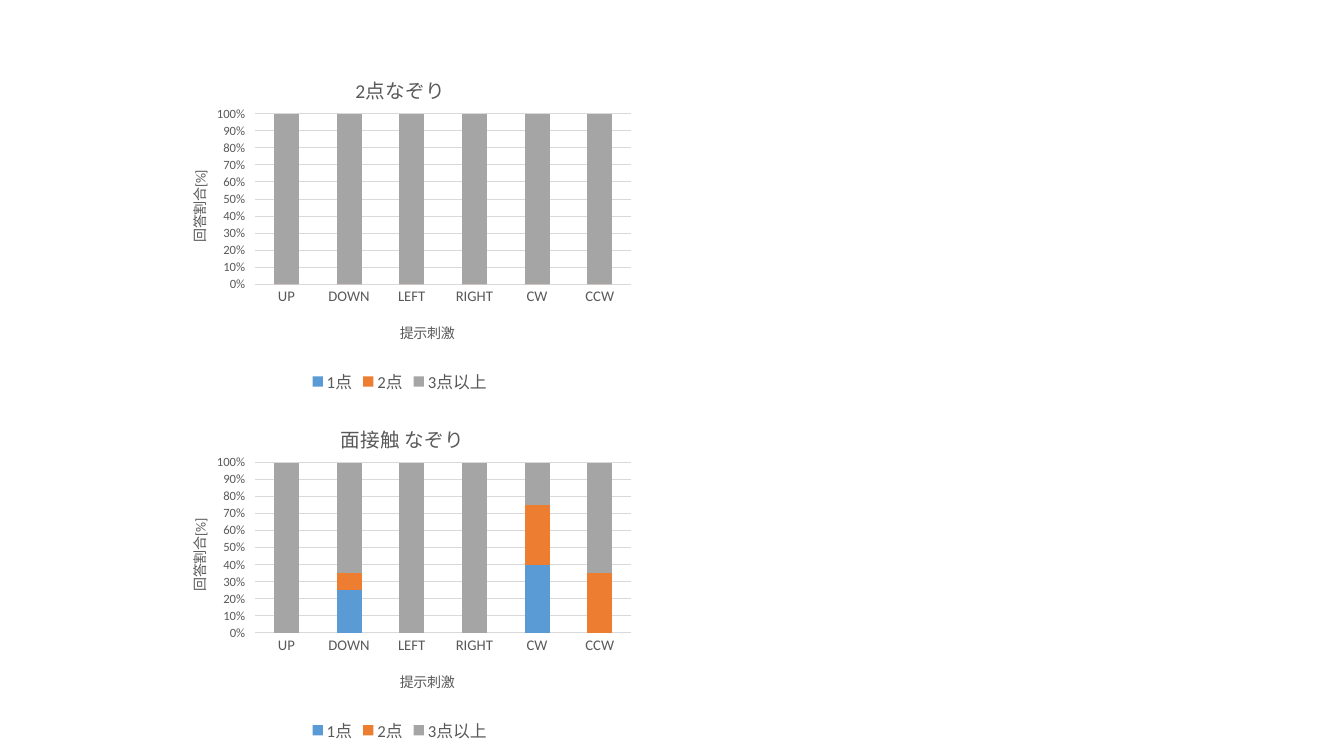
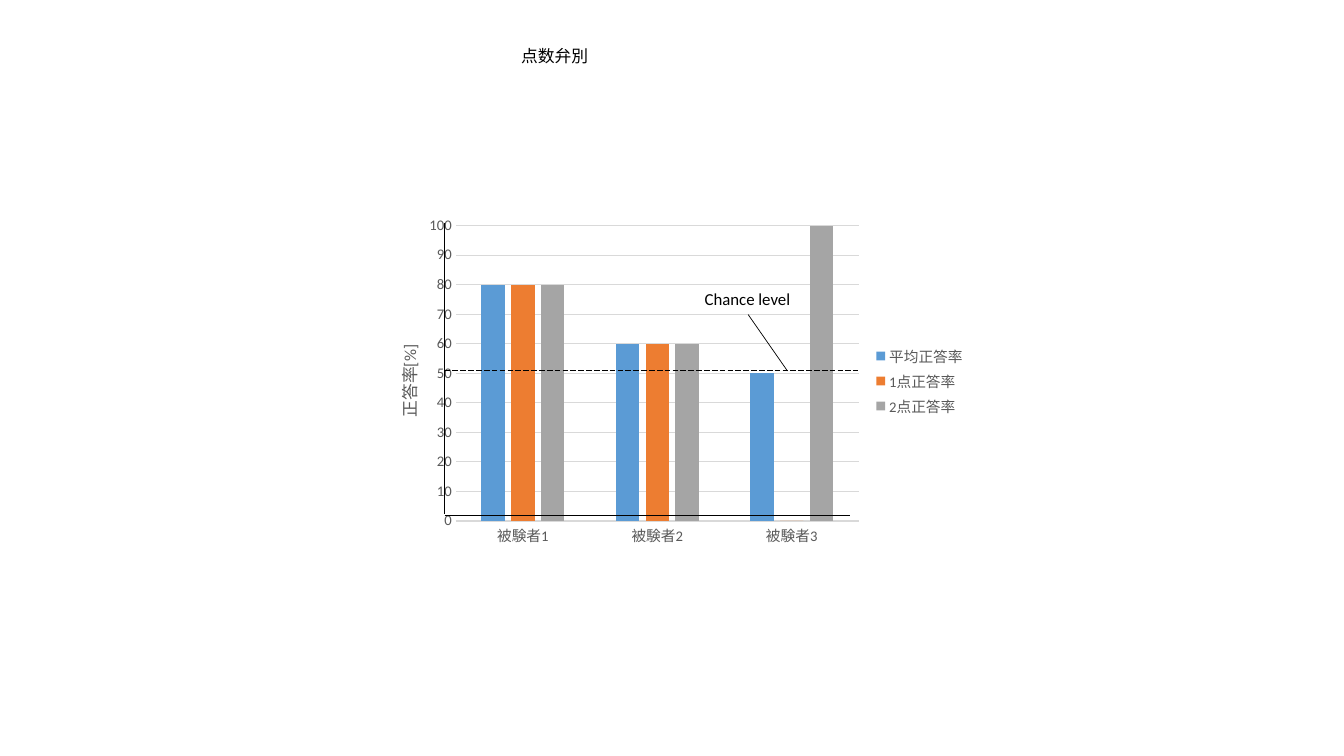
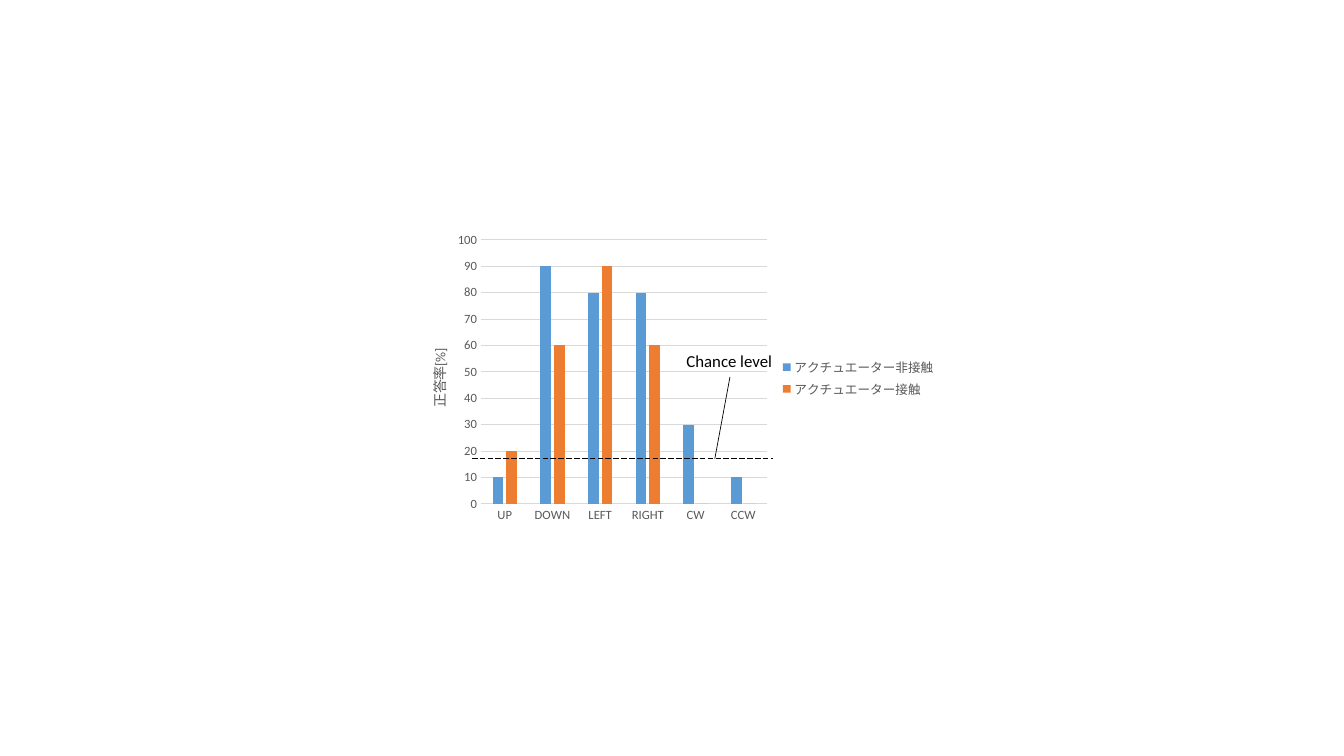
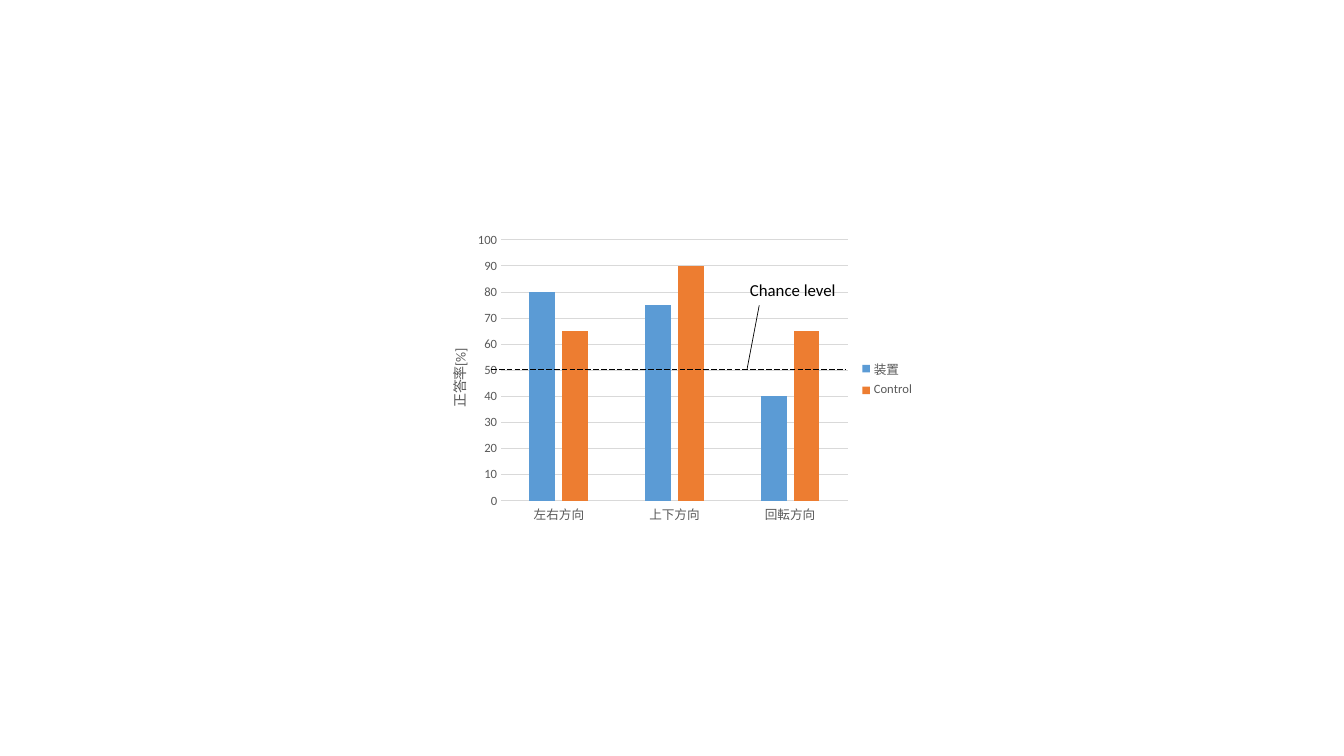
from lxml import etree
from pptx import Presentation
from pptx import util as u
from pptx.chart.data import CategoryChartData
from pptx.dml.color import RGBColor
from pptx.enum import chart as charts, dml, shapes, text
from pptx.oxml.ns import qn

FONT = "Calibri"
COLORS = {"ink": "000000", "label": "595959", "grid": "D9D9D9"}
SERIES_COLORS = ["5B9BD5", "ED7D31", "A5A5A5"]

# Content: all positions are slide inches
DIRECTIONS = ["UP", "DOWN", "LEFT", "RIGHT", "CW", "CCW"]
ROW_STEP = 3.46


def stacked_chart(row, title, title_left, one_point, two_points, more_points):
    shift = row * ROW_STEP
    return {
        "frame": (1.58, 0.49 + shift, 4.77, 3.46),
        "plot": (2.53, 1.13 + shift, 3.73, 1.69),
        "stacked": True, "categories": DIRECTIONS,
        "series": [("1点", one_point), ("2点", two_points), ("3点以上", more_points)],
        "title": (title, (title_left, 0.69 + shift), 14),
        "value_title": ("回答割合[%]", (1.84, 1.66 + shift), 10),
        "category_title": ("提示刺激", (3.94, 3.16 + shift), 10),
        "category_size": 10.5, "value_size": 9, "legend_size": 12,
    }


def clustered_chart(frame, plot, categories, series, title_at, title_size, size):
    return {
        "frame": frame, "plot": plot, "stacked": False,
        "categories": categories, "series": series,
        "value_title": ("正答率[%]", title_at, title_size),
        "category_size": size, "value_size": size, "legend_size": size,
    }


SLIDES = [
    {"charts": [
        stacked_chart(0, "2点なぞり", 3.49, [0] * 6, [0] * 6, [100] * 6),
        stacked_chart(1, "面接触 なぞり", 3.34, [0, 25, 0, 0, 40, 0],
                      [0, 10, 0, 0, 35, 35], [100, 65, 100, 100, 25, 65]),
    ]},
    {"charts": [clustered_chart(
        (3.62, 2.08, 6.06, 3.4), (4.52, 2.24, 4, 2.93),
        ["被験者1", "被験者2", "被験者3"],
        [("平均正答率", [80, 60, 50]), ("1点正答率", [80, 60, 0]),
         ("2点正答率", [80, 60, 100])],
        (3.88, 3.39), 12, 10.5)],
     "chance": (4.41, 8.51, 3.67),
     "labels": [("点数弁別", 5.07, 0.4, 1.92), ("Chance level", 6.89, 2.82, 1.07)],
     "lines": [(7.42, 3.12, 7.81, 3.68), (4.41, 5.11, 8.43, 5.11),
               (4.41, 2.21, 4.41, 5.1)]},
    {"charts": [clustered_chart(
        (3.96, 2.25, 5.42, 3), (4.77, 2.38, 2.84, 2.62), DIRECTIONS,
        [("アクチュエーター非接触", [10, 90, 80, 80, 30, 10]),
         ("アクチュエーター接触", [20, 60, 90, 60, 0, 0])],
        (4.22, 3.43), 10, 9)],
     "chance": (4.68, 7.67, 4.55),
     "labels": [("Chance level", 6.71, 3.43, 1.07)],
     "lines": [(7.24, 3.74, 7.09, 4.55)]},
    {"charts": [clustered_chart(
        (4.17, 2.25, 5, 3), (4.97, 2.38, 3.44, 2.59),
        ["左右方向", "上下方向", "回転方向"],
        [("装置", [80, 75, 40]), ("Control", [65, 90, 65])],
        (4.42, 3.43), 10, 9)],
     "chance": (4.87, 8.39, 3.66),
     "labels": [("Chance level", 7.34, 2.73, 1.07)],
     "lines": [(7.53, 3.03, 7.41, 3.66)]},
]


def rgb(name):
    return RGBColor.from_string(COLORS.get(name, name))


def style_font(font, size, color="label"):
    font.size, font.name, font.bold = u.Pt(size), FONT, False
    font.color.rgb = rgb(color)


# Chart parts
def set_layout(element, frame, area, index):
    """Place a chart part by fractions of the chart frame."""
    for old in element.findall(qn("c:layout")):
        element.remove(old)
    layout = etree.Element(qn("c:layout"))
    manual = etree.SubElement(layout, qn("c:manualLayout"))
    left, top, width, height = frame
    settings = [("xMode", "edge"), ("yMode", "edge"),
                ("x", (area[0] - left) / width), ("y", (area[1] - top) / height)]
    if len(area) == 4:
        settings.insert(0, ("layoutTarget", "inner"))
        settings += [("w", area[2] / width), ("h", area[3] / height)]
    for tag, value in settings:
        etree.SubElement(manual, qn("c:" + tag)).set("val", str(value))
    element.insert(index, layout)


def fill_title(title, content, frame, rotated=False):
    words, position, size = content
    text_frame = title.text_frame
    run = text_frame.paragraphs[0].add_run()
    run.text = words
    style_font(run.font, size)
    if rotated:
        body = text_frame._txBody.find(qn("a:bodyPr"))
        body.set("rot", "-5400000")
        body.set("vert", "horz")
    set_layout(title._element, frame, position, 1)


def add_chart(slide, content):
    data = CategoryChartData()
    data.categories = content["categories"]
    for name, values in content["series"]:
        data.add_series(name, values)
    stacked, frame = content["stacked"], content["frame"]
    kind = charts.XL_CHART_TYPE
    chart = slide.shapes.add_chart(
        kind.COLUMN_STACKED_100 if stacked else kind.COLUMN_CLUSTERED,
        *map(u.Inches, frame), data).chart
    style_font(chart.font, 10, "ink")

    plot = chart.plots[0]
    plot.vary_by_categories = False
    plot.gap_width, plot.overlap = (150, 100) if stacked else (219, -27)
    for series, color in zip(plot.series, SERIES_COLORS):
        series.format.fill.solid()
        series.format.fill.fore_color.rgb = rgb(color)
    set_layout(chart._chartSpace.chart.plotArea, frame, content["plot"], 0)

    category_axis, value_axis = chart.category_axis, chart.value_axis
    for axis, size in ((category_axis, content["category_size"]),
                       (value_axis, content["value_size"])):
        axis.major_tick_mark = charts.XL_TICK_MARK.NONE
        style_font(axis.tick_labels.font, size)
    value_axis.format.line.fill.background()
    value_axis.has_major_gridlines = True
    for line in (category_axis.format.line, value_axis.major_gridlines.format.line):
        line.color.rgb, line.width = rgb("grid"), u.Pt(0.75)
    if stacked:
        value_axis.major_tick_mark = charts.XL_TICK_MARK.OUTSIDE
        value_axis.tick_labels.number_format = "0%"
        value_axis.tick_labels.number_format_is_linked = False
    else:
        value_axis.minimum_scale, value_axis.maximum_scale = 0, 100

    chart.has_title = "title" in content
    if chart.has_title:
        fill_title(chart.chart_title, content["title"], frame)
    fill_title(value_axis.axis_title, content["value_title"], frame, rotated=True)
    if "category_title" in content:
        fill_title(category_axis.axis_title, content["category_title"], frame)

    chart.has_legend = True
    position = charts.XL_LEGEND_POSITION
    chart.legend.position = position.BOTTOM if stacked else position.RIGHT
    chart.legend.include_in_layout = False
    style_font(chart.legend.font, content["legend_size"])


# Annotations
def add_line(slide, ends, dashed=False):
    connector = slide.shapes.add_connector(
        shapes.MSO_CONNECTOR.STRAIGHT, *map(u.Inches, ends))
    connector.line.color.rgb, connector.line.width = rgb("ink"), u.Pt(0.5)
    if dashed:
        connector.line.dash_style = dml.MSO_LINE.LONG_DASH
    etree.SubElement(connector._element.spPr, qn("a:effectLst"))


def add_label(slide, words, left, top, width):
    box = slide.shapes.add_textbox(*map(u.Inches, (left, top, width, 0.3)))
    text_frame = box.text_frame
    text_frame.word_wrap = True
    text_frame.auto_size = text.MSO_AUTO_SIZE.SHAPE_TO_FIT_TEXT
    run = text_frame.paragraphs[0].add_run()
    run.text = words
    style_font(run.font, 12, "ink")


def main():
    presentation = Presentation()
    presentation.slide_width = u.Inches(13.33)
    presentation.slide_height = u.Inches(7.5)
    for content in SLIDES:
        slide = presentation.slides.add_slide(presentation.slide_layouts[6])
        for chart in content["charts"]:
            add_chart(slide, chart)
        if "chance" in content:
            start, end, level = content["chance"]
            add_line(slide, (start, level, end, level), dashed=True)
        for label in content.get("labels", []):
            add_label(slide, *label)
        for ends in content.get("lines", []):
            add_line(slide, ends)
    presentation.save("out.pptx")


if __name__ == "__main__":
    main()
